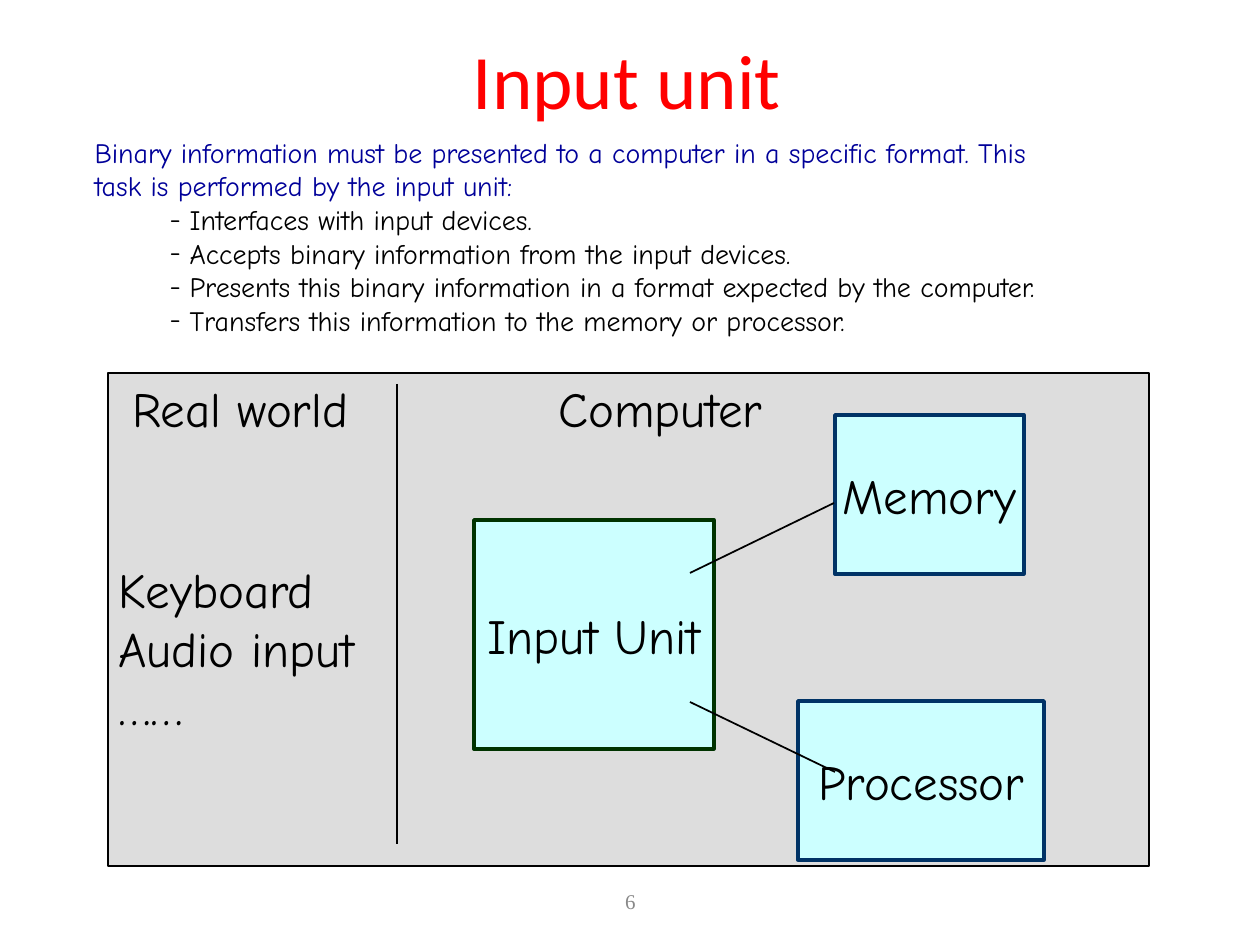
from lxml.etree import SubElement
from pptx import Presentation
from pptx.dml.color import RGBColor
from pptx.enum.shapes import MSO_CONNECTOR, MSO_SHAPE
from pptx.enum.text import MSO_ANCHOR, MSO_AUTO_SIZE, PP_ALIGN
from pptx.oxml.ns import qn
from pptx.util import Pt

PX = 914400 / 126


def px(*values):
    return [round(v * PX) for v in values]


def write(sp, lines, size, font, color, align=PP_ALIGN.LEFT,
          anchor=MSO_ANCHOR.TOP, wrap=False):
    tf = sp.text_frame
    tf.text = "\n".join(lines)
    tf.word_wrap = wrap
    tf.auto_size = MSO_AUTO_SIZE.NONE
    tf.vertical_anchor = anchor
    for p in tf.paragraphs:
        p.alignment = align
        p.line_spacing = 1.0
        p.space_before = Pt(0)
        for r in p.runs:
            r.font.size = Pt(size)
            r.font.name = font
            r.font.color.rgb = RGBColor.from_string(color)


prs = Presentation()
prs.slide_width, prs.slide_height = px(1260, 945)
s = prs.slides.add_slide(prs.slide_layouts[1])

title = s.shapes.title
title.left, title.top, title.width, title.height = px(60, 0, 1134, 158)
write(title, ["Input unit"], 44, "Calibri", "FF0000", PP_ALIGN.CENTER,
      MSO_ANCHOR.MIDDLE, True)

intro = ["Binary information must be presented to a computer in a specific format. This",
         "task is performed by the input unit:"]
tasks = ["Interfaces with input devices.",
         "Accepts binary information from the input devices.",
         "Presents this binary information in a format expected by the computer.",
         "Transfers this information to the memory or processor."]
body = s.placeholders[1]
body.left, body.top, body.width, body.height = px(82, 129, 1125, 214)
write(body, intro + tasks, 16, "Comic Neue", "000099", wrap=True)
for i, p in enumerate(body.text_frame.paragraphs):
    is_task = i >= len(intro)
    margin, indent = px(95, -20) if is_task else (0, 0)
    pPr = p._p.get_or_add_pPr()
    pPr.set("marL", str(margin))
    pPr.set("indent", str(indent))
    if is_task:
        p.runs[0].font.color.rgb = RGBColor.from_string("000000")
        SubElement(pPr, qn("a:buFont"), typeface="Comic Neue")
        SubElement(pPr, qn("a:buChar"), char="-")
    else:
        SubElement(pPr, qn("a:buNone"))

boxes = [("", 108, 373, 1041, 493, "DDDDDD", "000000", 1),
         ("Input Unit", 474, 520, 240, 229, "CCFFFF", "003300", 2),
         ("Processor", 798, 701, 246, 159, "CCFFFF", "003366", 2),
         ("Memory", 835, 415, 189, 159, "CCFFFF", "003366", 2)]
for text, x, y, w, h, fill, line, weight in boxes:
    sp = s.shapes.add_shape(MSO_SHAPE.RECTANGLE, *px(x, y, w, h))
    sp.shadow.inherit = False
    sp.fill.solid()
    sp.fill.fore_color.rgb = RGBColor.from_string(fill)
    sp.line.color.rgb = RGBColor.from_string(line)
    sp.line.width = Pt(weight)
    if text:
        write(sp, [text], 28, "Comic Neue", "000000", PP_ALIGN.CENTER,
              MSO_ANCHOR.MIDDLE)

for ends in [(690, 573, 834, 503), (690, 702, 835, 772), (397, 384, 397, 844)]:
    cxn = s.shapes.add_connector(MSO_CONNECTOR.STRAIGHT, *px(*ends))
    cxn.line.color.rgb = RGBColor.from_string("000000")
    cxn.line.width = Pt(1)
    SubElement(cxn._element.spPr, qn("a:effectLst"))

labels = [(["Computer"], 546, 372, 231, 72),
          (["Real world"], 120, 372, 242, 72),
          (["Keyboard", "Audio input", "……"], 106, 553, 261, 248)]
for lines, x, y, w, h in labels:
    tb = s.shapes.add_textbox(*px(x, y, w, h))
    write(tb, lines, 28, "Comic Neue", "000000")

number = s.shapes.add_textbox(*px(431, 876, 399, 50))
write(number, ["6"], 12, "Times New Roman", "898989", PP_ALIGN.CENTER,
      MSO_ANCHOR.MIDDLE, True)

prs.save("out.pptx")
